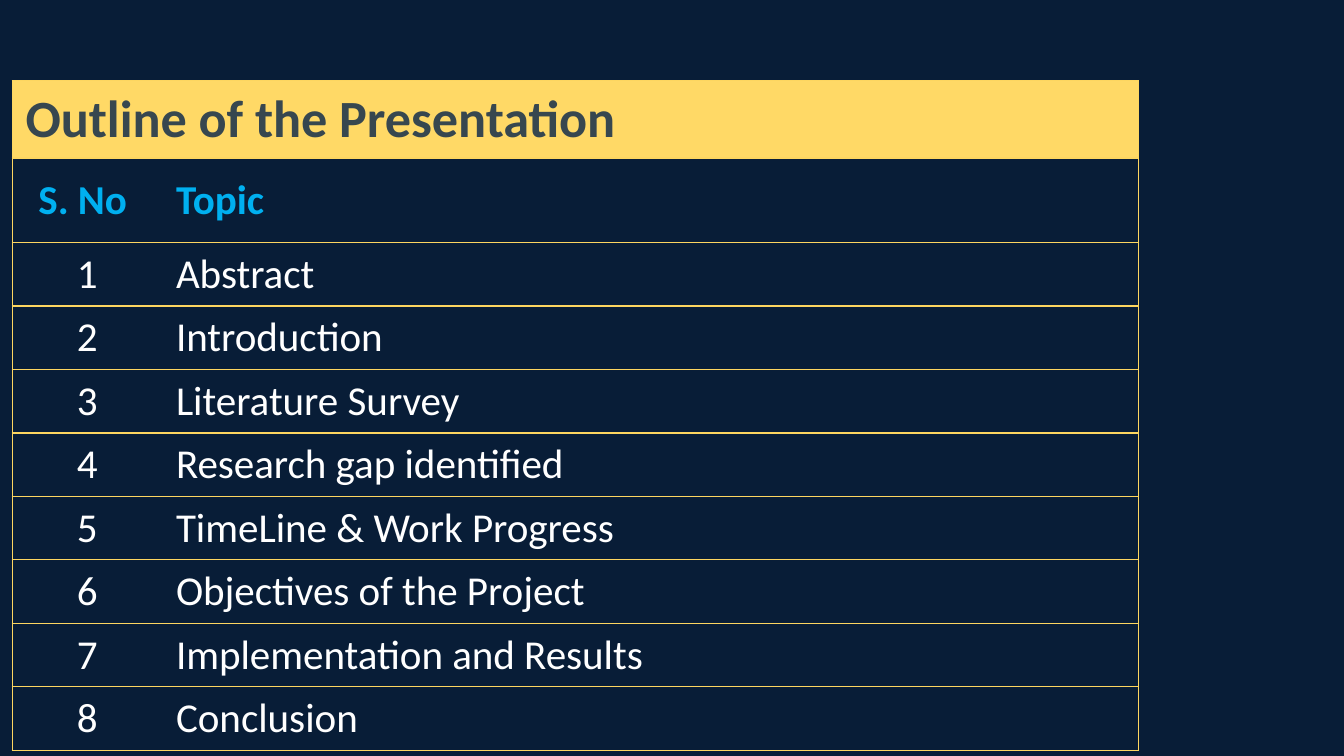
from lxml.etree import SubElement
from pptx import Presentation
from pptx.dml.color import RGBColor
from pptx.enum.text import MSO_ANCHOR as Anchor, PP_ALIGN as Align
from pptx.oxml.ns import qn
from pptx.util import Inches, Pt

NAVY, GOLD, AMBER = "081D37", "FDD660", "FFD966"
SLATE, CYAN, WHITE = "37474F", "00B0F0", "FFFFFF"
TOPICS = [
    "Abstract",
    "Introduction",
    "Literature Survey",
    "Research gap identified",
    "TimeLine & Work Progress",
    "Objectives of the Project",
    "Implementation and Results",
    "Conclusion",
]


def rgb(color):
    return RGBColor.from_string(color)


class Deck:
    font = "Calibri"
    line_width = Pt(0.75)

    def __init__(self, width):
        self.prs = Presentation()
        self.prs.slide_width = Inches(width)
        self.prs.slide_height = Inches(width * 9 / 16)  # widescreen

    def new_slide(self, color):
        self.slide = self.prs.slides.add_slide(self.prs.slide_layouts[6])
        background = self.slide.background.fill
        background.solid()
        background.fore_color.rgb = rgb(color)

    def table(self, left, top, col_widths, row_heights):
        table = self.slide.shapes.add_table(
            len(row_heights), len(col_widths), Inches(left), Inches(top),
            Inches(sum(col_widths)), Inches(sum(row_heights))).table
        table.horz_banding = False
        for column, width in zip(table.columns, col_widths):
            column.width = Inches(width)
        for row, height in zip(table.rows, row_heights):
            row.height = Inches(height)
        return table

    def cell(self, cell, text, size, color, bold=False, align=Align.LEFT, anchor=Anchor.TOP):
        cell.text = text
        cell.vertical_anchor = anchor
        paragraph = cell.text_frame.paragraphs[0]
        paragraph.alignment = align
        font = paragraph.font
        font.name, font.size, font.bold = self.font, Pt(size), bold
        font.color.rgb = rgb(color)

    def fill(self, cell, color=None):
        if color:
            cell.fill.solid()
            cell.fill.fore_color.rgb = rgb(color)
        else:
            cell.fill.background()

    def borders(self, cell, color, sides):
        """Draw the given sides (of L, R, T, B) and clear the others."""
        props = cell._tc.get_or_add_tcPr()
        for position, side in enumerate("LRTB"):
            line = SubElement(props, qn(f"a:ln{side}"), w=str(self.line_width))
            if side in sides:
                solid = SubElement(line, qn("a:solidFill"))
                SubElement(solid, qn("a:srgbClr"), val=color)
            else:
                SubElement(line, qn("a:noFill"))
            props.insert(position, line)  # lines come before the fill


def main():
    deck = Deck(10)
    deck.new_slide(NAVY)
    outline = deck.table(0.09, 0.6, [1.12, 7.26], [0.54, 0.63] + [0.46] * len(TOPICS))

    # Heading across both columns
    heading = outline.cell(0, 0)
    heading.merge(outline.cell(0, 1))
    deck.cell(heading, "Outline of the Presentation", 28, SLATE, bold=True)

    # Column titles
    deck.cell(outline.cell(1, 0), "S. No ", 22, CYAN, True, Align.CENTER, Anchor.MIDDLE)
    deck.cell(outline.cell(1, 1), "Topic", 22, CYAN, True, anchor=Anchor.MIDDLE)

    # Numbered topics
    for row, topic in enumerate(TOPICS, 2):
        deck.cell(outline.cell(row, 0), str(row - 1), 22, WHITE,
                  align=Align.CENTER, anchor=Anchor.MIDDLE)
        deck.cell(outline.cell(row, 1), topic, 22, WHITE)

    # Fills and borders: amber heading, gold rules, no line between columns
    for cell in outline.iter_cells():
        in_heading = cell.is_merge_origin or cell.is_spanned
        deck.fill(cell, AMBER if in_heading else None)
    for row in outline.rows:
        for cell, sides in zip(row.cells, ("LTB", "RTB")):
            deck.borders(cell, GOLD, "LRTB" if cell.is_merge_origin else sides)

    deck.prs.save("out.pptx")


if __name__ == "__main__":
    main()
